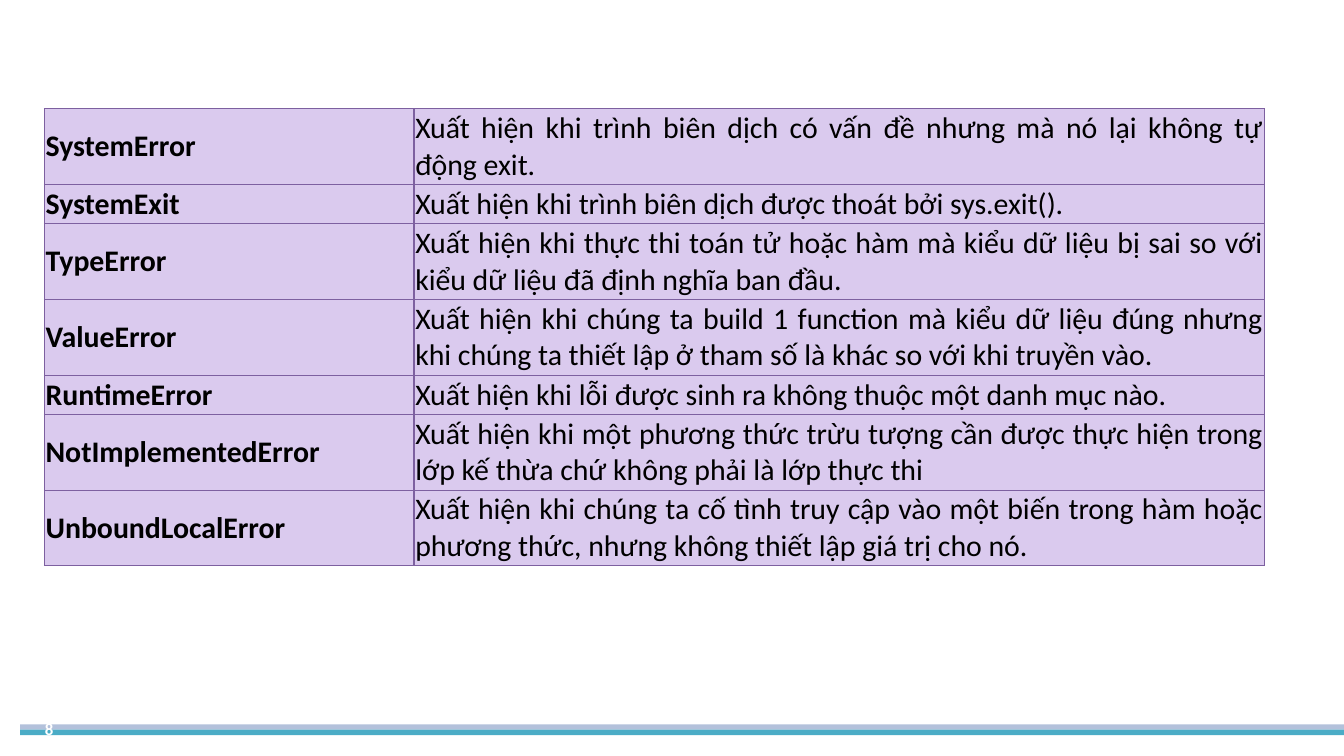
from dataclasses import dataclass

from lxml.etree import SubElement
from pptx import Presentation
from pptx.dml.color import RGBColor
from pptx.enum.shapes import MSO_SHAPE
from pptx.enum.text import MSO_ANCHOR, PP_ALIGN
from pptx.oxml.ns import qn
from pptx.util import Inches, Pt


@dataclass(frozen=True)
class Theme:
    font: str = "Calibri"
    text: str = "000000"
    page_text: str = "FFFFFF"
    cell: str = "DACAEE"
    border: str = "7D60A0"
    pale_stripe: str = "B3C1DB"
    teal_stripe: str = "4BACC6"
    body_size: int = 16
    page_size: int = 9
    border_width: float = 0.75


theme = Theme()


def write(frame, text, size=theme.body_size, color=theme.text, bold=False,
          align=PP_ALIGN.LEFT):
    paragraph = frame.paragraphs[0]
    paragraph.alignment = align
    run = paragraph.add_run()
    run.text = text
    run.font.name = theme.font
    run.font.size = Pt(size)
    run.font.bold = bold
    run.font.color.rgb = RGBColor.from_string(color)


def add_borders(cell):
    properties = cell._tc.get_or_add_tcPr()
    for position, side in enumerate(("lnL", "lnR", "lnT", "lnB")):
        line = SubElement(properties, qn(f"a:{side}"), w=str(Pt(theme.border_width)))
        fill = SubElement(line, qn("a:solidFill"))
        SubElement(fill, qn("a:srgbClr"), val=theme.border)
        properties.insert(position, line)  # borders come before the cell fill


# Widescreen slide, 16:9
presentation = Presentation()
presentation.slide_width = Inches(10)
presentation.slide_height = Inches(10 * 9 / 16)
slide = presentation.slides.add_slide(presentation.slide_layouts[6])

# Footer stripes
for top, color in ((5.39, theme.pale_stripe), (5.43, theme.teal_stripe)):
    stripe = slide.shapes.add_shape(
        MSO_SHAPE.RECTANGLE, Inches(0.15), Inches(top), Inches(9.86), Inches(0.04))
    stripe.shadow.inherit = False
    stripe.fill.solid()
    stripe.fill.fore_color.rgb = RGBColor.from_string(color)
    stripe.line.fill.background()

# Page number
page_number = slide.shapes.add_shape(
    MSO_SHAPE.OVAL, Inches(0.04), Inches(5.23), Inches(0.5), Inches(0.38))
page_number.shadow.inherit = False
page_number.fill.background()
page_number.line.fill.background()
page_frame = page_number.text_frame
page_frame.vertical_anchor = MSO_ANCHOR.MIDDLE
page_frame.margin_left = page_frame.margin_right = Inches(0.07)
page_frame.margin_top = page_frame.margin_bottom = Inches(0.04)
write(page_frame, "8", size=theme.page_size, color=theme.page_text, bold=True,
      align=PP_ALIGN.RIGHT)

# Exceptions: name, meaning, least row height (rows grow with their text)
exceptions = [
    ("SystemError", "Xuất hiện khi trình biên dịch có vấn đề nhưng mà nó lại không tự động exit.", 0.16),
    ("SystemExit", "Xuất hiện khi trình biên dịch được thoát bởi sys.exit().", 0.13),
    ("TypeError", "Xuất hiện khi thực thi toán tử hoặc hàm mà kiểu dữ liệu bị sai so với "
     "kiểu dữ liệu đã định nghĩa ban đầu.", 0.2),
    ("ValueError", "Xuất hiện khi chúng ta build 1 function mà kiểu dữ liệu đúng nhưng "
     "khi chúng ta thiết lập ở tham số là khác so với khi truyền vào.", 0.28),
    ("RuntimeError", "Xuất hiện khi lỗi được sinh ra không thuộc một danh mục nào.", 0.13),
    ("NotImplementedError", "Xuất hiện khi một phương thức trừu tượng cần được thực hiện trong "
     "lớp kế thừa chứ không phải là lớp thực thi", 0.24),
    ("UnboundLocalError", "Xuất hiện khi chúng ta cố tình truy cập vào một biến trong hàm hoặc "
     "phương thức, nhưng không thiết lập giá trị cho nó.", 0.24),
]
name_width, meaning_width = Inches(2.75), Inches(6.33)
table_height = Inches(3.56)

# Exception table
exception_frame = slide.shapes.add_table(
    len(exceptions), 2, Inches(0.33), Inches(0.81), name_width + meaning_width,
    table_height)
exception_table = exception_frame.table
exception_table.first_row = False
exception_table.horz_banding = False
exception_table.columns[0].width = name_width
exception_table.columns[1].width = meaning_width

for row, (name, meaning, least_height) in zip(exception_table.rows, exceptions):
    row.height = Inches(least_height)
    name_cell, meaning_cell = row.cells
    write(name_cell.text_frame, name, bold=True)
    write(meaning_cell.text_frame, meaning, align=PP_ALIGN.JUSTIFY)
    for cell in (name_cell, meaning_cell):
        cell.vertical_anchor = MSO_ANCHOR.MIDDLE
        cell.margin_left = cell.margin_right = Inches(0.01)
        cell.margin_top = cell.margin_bottom = Inches(0.01)
        cell.fill.solid()
        cell.fill.fore_color.rgb = RGBColor.from_string(theme.cell)
        add_borders(cell)

# Setting row heights shrinks the frame, so its height is set last
exception_frame.height = table_height

presentation.save("out.pptx")
